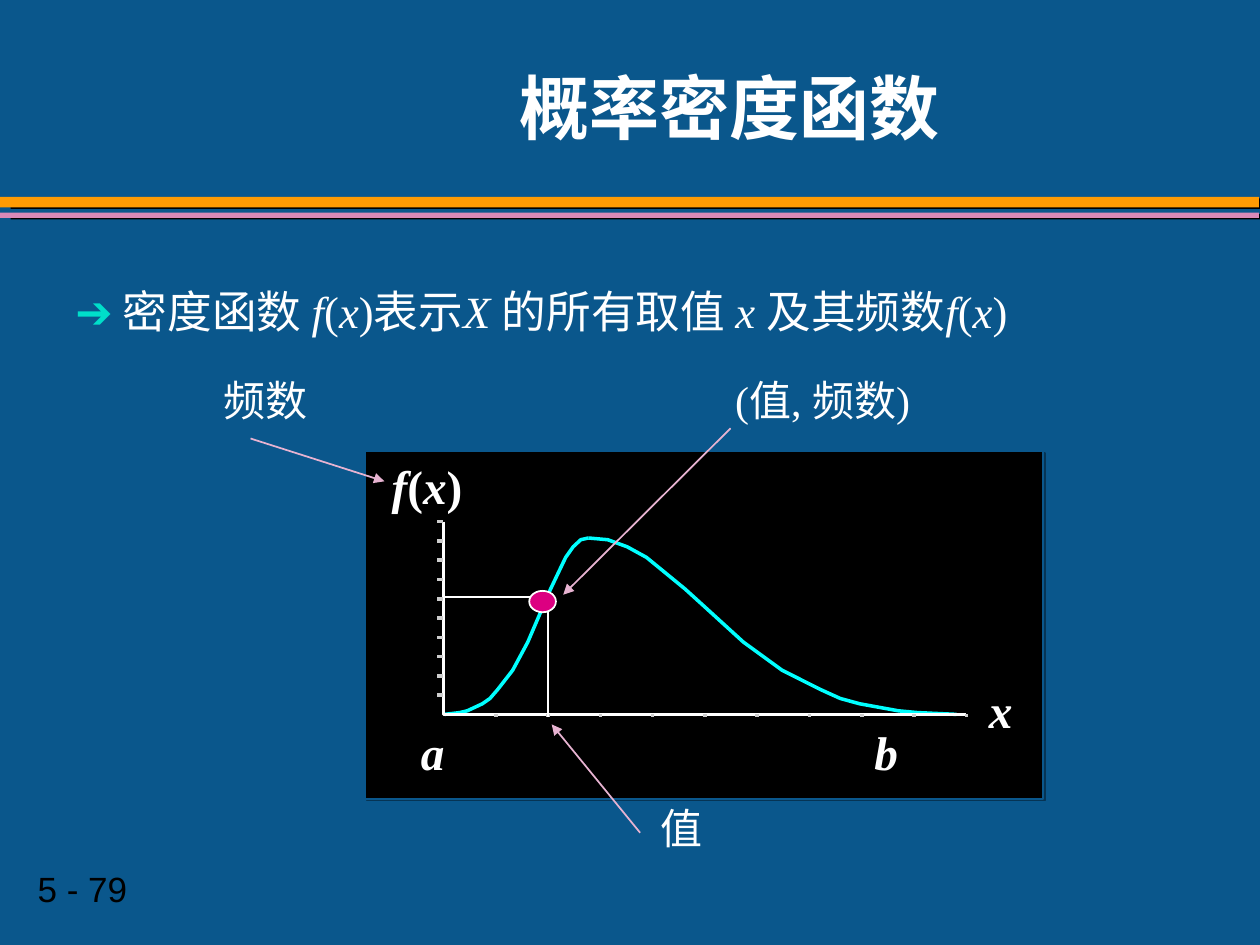
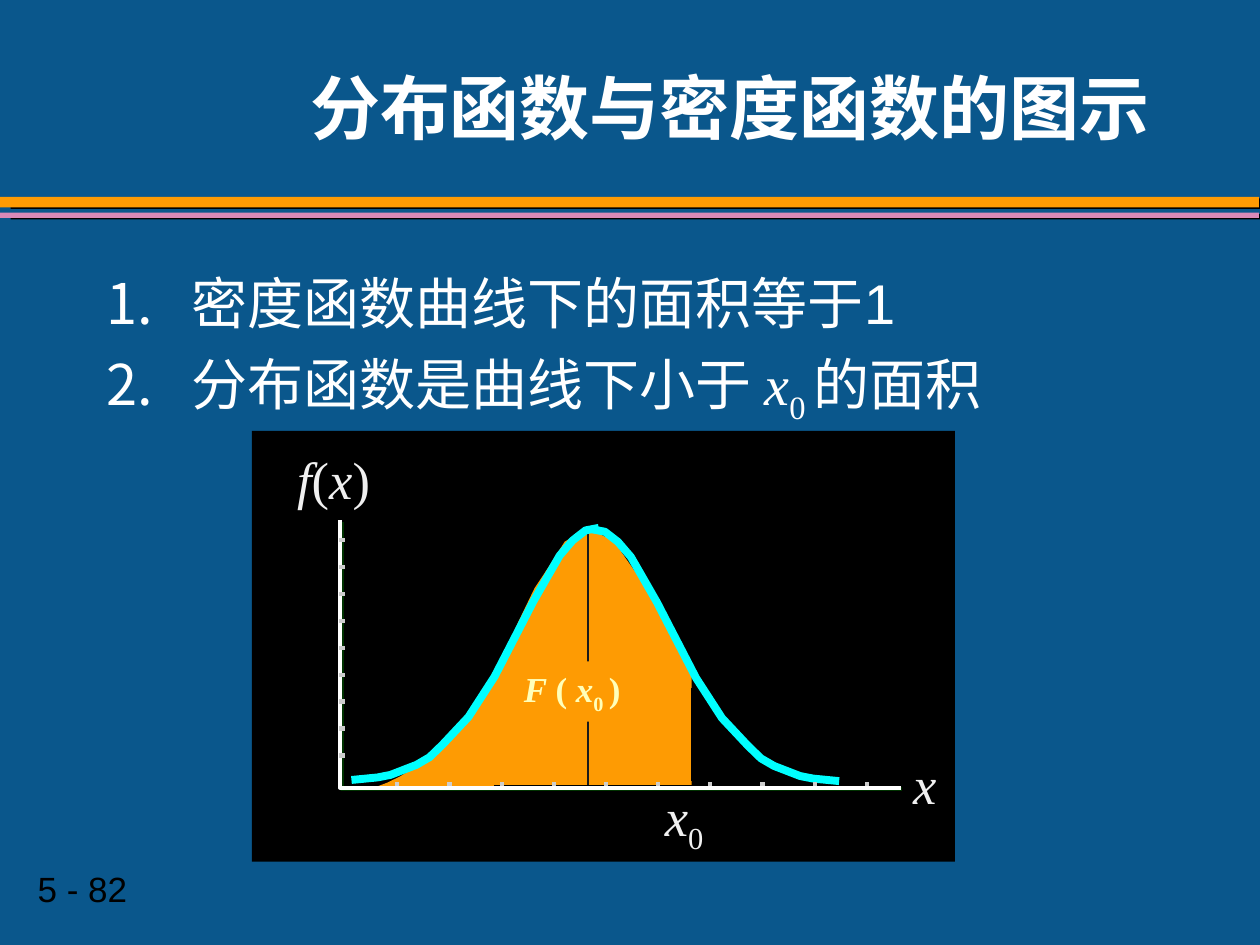
from dataclasses import dataclass

from lxml.etree import SubElement
from pptx import Presentation
from pptx.dml.color import RGBColor
from pptx.enum.shapes import MSO_CONNECTOR, MSO_SHAPE
from pptx.enum.text import MSO_ANCHOR, PP_ALIGN
from pptx.oxml.ns import qn
from pptx.util import Inches, Pt

BLUE = RGBColor(0x0A, 0x57, 0x8C)
DARK_BLUE = RGBColor(0x06, 0x34, 0x54)
ORANGE = RGBColor(0xFE, 0x9B, 0x03)
MAUVE = RGBColor(0xD9, 0x89, 0xB8)
PINK = RGBColor(0xE7, 0xB3, 0xD1)
MAGENTA = RGBColor(0xDC, 0x00, 0x81)
CYAN = RGBColor(0x00, 0xFF, 0xFF)
TEAL = RGBColor(0x00, 0xDF, 0xCA)
GREEN = RGBColor(0x00, 0x33, 0x00)
CREAM = RGBColor(0xFF, 0xFF, 0xB9)
WHITE = RGBColor(0xFF, 0xFF, 0xFF)
OFF_WHITE = RGBColor(0xF0, 0xF0, 0xF0)
GREY = RGBColor(0xCD, 0xCD, 0xCD)
CHARCOAL = RGBColor(0x1A, 0x1A, 0x1A)
BLACK = RGBColor(0, 0, 0)

SERIF, SANS, TITLE_FONT = "Times New Roman", "Arial", "Vollkorn"
FX = "/f|(|/x|)"

# Half a bell curve, foot to peak: (steps from the peak, share of its height)
BELL_STEPS = 19
BELL = [(19, 0), (17, 0.01), (16, 0.02), (15, 0.04), (14, 0.06), (13, 0.09),
        (12, 0.14), (10, 0.25), (8, 0.41), (6, 0.61), (5, 0.71), (4, 0.8),
        (3, 0.89), (2, 0.95), (1, 0.99), (0, 1)]


@dataclass
class Grid:
    """A box, in inches, divided into columns and rows."""
    left: float
    top: float
    width: float
    height: float
    cols: int = 10
    rows: int = 10

    def point(self, c, r):
        return (Inches(self.left + c * self.width / self.cols),
                Inches(self.top + r * self.height / self.rows))

    def box(self, c, r, cols, rows):
        x, y = self.point(c, r)
        right, bottom = self.point(c + cols, r + rows)
        return x, y, right - x, bottom - y


PAGE = Grid(0, 0, 10, 7.5, 120, 90)


def set_shadow(shape, color, distance, angle):
    shape.shadow.inherit = False
    effects = shape._element.spPr.find(qn("a:effectLst"))
    outer = SubElement(effects, qn("a:outerShdw"), dist=str(Pt(distance)),
                       dir=str(angle * 60000), algn="ctr", rotWithShape="0")
    SubElement(outer, qn("a:srgbClr"), val=str(color))


def add_filled(s, kind, box, fill):
    sp = s.shapes.add_shape(kind, *box)
    sp.shadow.inherit = False
    sp.fill.solid()
    sp.fill.fore_color.rgb = fill
    sp.line.fill.background()
    return sp


def write(p, markup, size, color, font=SERIF, bold=False, align=None):
    """Fill a paragraph; parts split by | are italic after / and subscript after _."""
    p.font.size, p.font.name, p.font.bold = Pt(size), font, bold
    p.font.color.rgb = color
    p.alignment = align
    for part in markup.split("|"):
        r = p.add_run()
        r.text = part.lstrip("/_")
        if part.startswith("/"):
            r.font.italic = True
        elif part.startswith("_"):
            r._r.get_or_add_rPr().set("baseline", "-25000")


def add_text(s, box, markup, size, color, wrap=True, **style):
    tf = s.shapes.add_textbox(*box).text_frame
    tf.word_wrap = wrap
    write(tf.paragraphs[0], markup, size, color, **style)
    return tf


def hang(p, indent):
    p_pr = p._p.get_or_add_pPr()
    p_pr.set("marL", str(Inches(indent)))
    p_pr.set("indent", str(-Inches(indent)))
    return p_pr


def add_line(s, grid, start, end, color, width=1, arrow=False):
    cn = s.shapes.add_connector(MSO_CONNECTOR.STRAIGHT, *grid.point(*start), *grid.point(*end))
    cn.line.color.rgb = color
    cn.line.width = Pt(width)
    if arrow:
        SubElement(cn.line._get_or_add_ln(), qn("a:tailEnd"), type="triangle")
    SubElement(cn._element.spPr, qn("a:effectLst"))


def add_outline(s, grid, points, closed=False):
    first, *rest = [grid.point(*pt) for pt in points]
    builder = s.shapes.build_freeform(*first)
    builder.add_line_segments(rest, close=closed)
    sp = builder.convert_to_shape()
    sp.shadow.inherit = False
    return sp


def add_stroke(s, grid, points, color, width):
    sp = add_outline(s, grid, points)
    sp.fill.background()
    sp.line.color.rgb = color
    sp.line.width = Pt(width)
    return sp


def add_area(s, grid, points):
    sp = add_outline(s, grid, points, closed=True)
    sp.fill.solid()
    sp.fill.fore_color.rgb = ORANGE
    sp.line.fill.background()


def add_half_bell(s, grid, foot, peak, width):
    (fc, fr), (pc, pr) = foot, peak
    points = [(pc + (fc - pc) * step / BELL_STEPS, fr + (pr - fr) * share)
              for step, share in BELL]
    add_stroke(s, grid, points, CYAN, width)


def add_axes(s, grid, corners, tick_rows, width):
    axes = add_stroke(s, grid, corners, WHITE, width)
    for c in range(1, 11):
        add_line(s, grid, (c, 10), (c, 10.13), GREY, width)
    for r in tick_rows:
        add_line(s, grid, (-0.12, r), (0, r), GREY, width)
    return axes


def add_frame(prs, title, number):
    """Add a slide with the background, bands, title and number that all share."""
    s = prs.slides.add_slide(prs.slide_layouts[6])
    s.background.fill.solid()
    s.background.fill.fore_color.rgb = BLUE
    for row, rows, color in [(18.75, 1, ORANGE), (20.25, 0.5, MAUVE)]:
        band = add_filled(s, MSO_SHAPE.RECTANGLE, PAGE.box(0, row, 119.9, rows), color)
        set_shadow(band, BLACK, 6.1, 9)
    add_text(s, PAGE.box(2.4, 82, 22.4, 5.2), f"5 - {number}", 20, BLACK,
             wrap=False, font=SANS)
    tf = add_text(s, PAGE.box(25, 3, 89, 15), title, 40, WHITE,
                  font=TITLE_FONT, bold=True, align=PP_ALIGN.CENTER)
    tf.vertical_anchor = MSO_ANCHOR.MIDDLE
    tf.paragraphs[0].line_spacing = 0.95
    return s


def draw_density(s, grid):
    """Skewed density curve with its labels; one cell is one tick."""
    panel = add_filled(s, MSO_SHAPE.RECTANGLE, grid.box(-1.49, -3.66, 12.96, 18.04), BLACK)
    panel.line.color.rgb = BLUE
    panel.line.width = Pt(1)
    set_shadow(panel, DARK_BLUE, 1.4, 45)

    for text, c, r, cols in [("值", 3.18, 14.25, 2.75), ("(值, 频数)", 1.9, -7.97, 10.7),
                             ("频数", -5.06, -7.97, 3.3)]:
        tf = add_text(s, grid.box(c, r, cols, 3.27), text, 24, WHITE, align=PP_ALIGN.CENTER)
        tf.paragraphs[0].space_before = Pt(15)
    for text, c, r, cols in [(FX, -1.23, -3.66, 2.75), ("/a", -0.67, 10.13, 0.94),
                             ("/b", 8, 10.13, 0.94), ("/x", 10.19, 7.97, 0.94)]:
        add_text(s, grid.box(c, r, cols, 3.59), text, 27, WHITE, wrap=False, bold=True)

    peak = (2.77, 0.85)
    for foot in [(9.81, 10), (0.02, 10)]:
        add_half_bell(s, grid, foot, peak, 2)
    add_axes(s, grid, [(0, 0), (0, 10), (10, 10)], range(10), 2)

    for start, tip in [((3.76, 16.14), (2.07, 10.52)), ((-3.69, -4.31), (-1.13, -2.09)),
                       ((5.49, -4.84), (2.29, 3.79))]:
        add_line(s, grid, start, tip, PINK, arrow=True)
    add_line(s, grid, (2, 3.92), (2, 10.13), WHITE)
    add_line(s, grid, (0, 3.92), (2.07, 3.92), WHITE)
    dot = add_filled(s, MSO_SHAPE.OVAL, grid.box(1.64, 3.59, 0.51, 1.11), MAGENTA)
    dot.line.color.rgb = WHITE
    dot.line.width = Pt(1)


def draw_distribution(s, grid):
    """Bell curve with the area below x0 filled; one cell is one tick."""
    add_filled(s, MSO_SHAPE.RECTANGLE, grid.box(-1.79, -3.04, 13.48, 15.98), BLACK)
    add_text(s, grid.box(-1.16, -2.66, 2.08, 2.8), FX, 30, OFF_WHITE)

    middle, top, floor = 4.66, 0.56, 10.09
    slope = [(0.25, 1.07), (0.43, 2.06), (0.57, 2.8), (0.75, 4.11), (0.87, 5.09), (1, 6.07)]
    for edge in (6.64, 2.85):
        side = [(middle + (edge - middle) * share, r) for share, r in slope]
        add_area(s, grid, [(middle, top), *side, (edge, floor), (middle, floor)])
    add_line(s, grid, (middle, top), (middle, floor), CHARCOAL, 1.39)
    add_area(s, grid, [(2.85, 6.07), (2.85, 10.19), (0.56, 10.19), (0.82, 10), (1.06, 9.77),
                       (1.3, 9.49), (1.52, 9.21), (1.74, 8.88), (1.96, 8.55), (2.15, 8.18),
                       (2.32, 7.8), (2.49, 7.38), (2.61, 6.96), (2.75, 6.5)])

    add_half_bell(s, grid, (9.47, 9.95), (4.73, 0.61), 4.5)
    add_half_bell(s, grid, (0.12, 9.91), (4.86, 0.56), 4.5)
    axes = add_axes(s, grid, [(-0.1, 0.28), (-0.1, 10.19), (10.65, 10.19)], range(1, 10), 2.38)
    set_shadow(axes, GREEN, 1.4, 45)
    add_line(s, grid, (6.64, 6.5), (6.64, 9.95), BLACK)

    add_text(s, grid.box(10.65, 8.64, 1.45, 2.8), "/x", 30, OFF_WHITE)
    add_text(s, grid.box(5.89, 9.81, 1.45, 3.13), "/x|_0", 30, OFF_WHITE)
    area_label = add_filled(s, MSO_SHAPE.RECTANGLE, grid.box(3.19, 5.51, 2.71, 2.24), ORANGE)
    tf = area_label.text_frame
    tf.vertical_anchor = MSO_ANCHOR.TOP
    write(tf.paragraphs[0], "/F |( |/x|_0 |)", 20, CREAM, bold=True, align=PP_ALIGN.LEFT)


def density_slide(prs):
    s = add_frame(prs, "概率密度函数", 79)
    sentence = ("➔ |密度函数 |/f|(|/x|)表示|/X |的所有取值 |/x |及其频数|/f|(|/x|)")
    tf = add_text(s, PAGE.box(6, 27, 108, 8), sentence, 25.5, WHITE)
    p = tf.paragraphs[0]
    p.line_spacing = 0.9
    hang(p, 0.67)
    arrow = p.runs[0].font
    arrow.name = SANS
    arrow.color.rgb = TEAL
    draw_density(s, Grid(3.52, 4.14, 4.15, 1.53))


def distribution_slide(prs):
    s = add_frame(prs, "分布函数与密度函数的图示", 82)
    tf = s.shapes.add_textbox(*PAGE.box(9, 25, 103, 54)).text_frame
    tf.word_wrap = True
    points = ["密度函数曲线下的面积等于1", "分布函数是曲线下小于 |/x|_0 |的面积"]
    for p, text in zip([tf.paragraphs[0], tf.add_paragraph()], points):
        write(p, text, 32, WHITE, font=SANS, align=PP_ALIGN.JUSTIFY)
        p.space_before = Pt(8)
        for r in p.runs[1:]:
            r.font.name = SERIF
        p_pr = hang(p, 0.67)
        number = p_pr.makeelement(qn("a:buAutoNum"), {"type": "arabicPeriod"})
        p_pr.find(qn("a:defRPr")).addprevious(number)
    draw_distribution(s, Grid(2.74, 4.07, 4.14, 2.14))


def main():
    prs = Presentation()
    prs.slide_width, prs.slide_height = Inches(10), Inches(7.5)
    density_slide(prs)
    distribution_slide(prs)
    prs.save("out.pptx")


if __name__ == "__main__":
    main()
